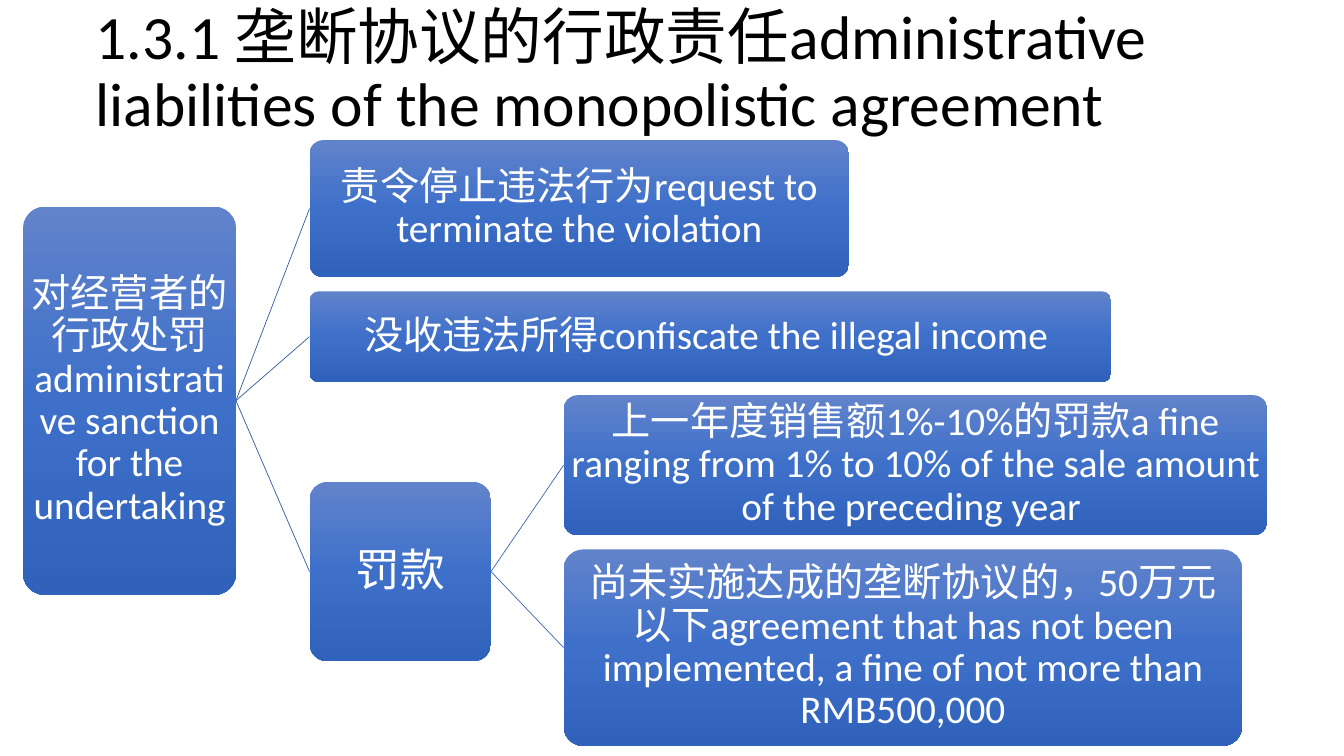
import copy

import pptx
import pptx.dml.color
import pptx.enum.shapes
import pptx.enum.text
import pptx.oxml
import pptx.oxml.ns
import pptx.util

Inches = pptx.util.Inches
Pt = pptx.util.Pt
ALIGN = pptx.enum.text.PP_ALIGN

COLORS = {
    "title": "000000",
    "node_text": "FFFFFF",
    "top": "6183CB",
    "middle": "3E70CA",
    "bottom": "3062BB",
    "first_link": "365B9D",
    "second_link": "3E67B2",
}


def rgb(name):
    return pptx.dml.color.RGBColor.from_string(COLORS[name])


class TreeSlide:
    font = "Calibri"
    gradient = [(0, "top"), (0.5, "middle"), (1, "bottom")]

    def __init__(self, slide):
        self.slide = slide

    def label(self, shape, text, size, color, align, inset_x, inset_y):
        frame = shape.text_frame
        frame_format = {
            "word_wrap": True,
            "vertical_anchor": pptx.enum.text.MSO_ANCHOR.MIDDLE,
            "margin_left": Inches(inset_x),
            "margin_right": Inches(inset_x),
            "margin_top": Inches(inset_y),
            "margin_bottom": Inches(inset_y),
        }
        paragraph = frame.paragraphs[0]
        run = paragraph.add_run()
        run.text = text
        formats = [
            (frame, frame_format),
            (paragraph, {"alignment": align, "line_spacing": 0.9}),
            (run.font, {"name": self.font, "size": Pt(size)}),
        ]
        for target, values in formats:
            for attribute, value in values.items():
                setattr(target, attribute, value)
        run.font.color.rgb = rgb(color)

    def title(self, text, *box):
        heading = self.slide.shapes.add_textbox(*map(Inches, box))
        self.label(heading, text, 44, "title", ALIGN.LEFT, 0.1, 0.05)

    def node(self, text, box, size=28):
        node = self.slide.shapes.add_shape(
            pptx.enum.shapes.MSO_SHAPE.ROUNDED_RECTANGLE, *map(Inches, box))
        node.adjustments[0] = 0.1
        node.shadow.inherit = False
        node.line.fill.background()
        node.fill.gradient()
        node.fill.gradient_angle = 270
        # The default gradient has two stops; add the third
        stops = node._element.spPr.find(".//" + pptx.oxml.ns.qn("a:gsLst"))
        stops.append(copy.deepcopy(stops[-1]))
        for stop, (position, color) in zip(node.fill.gradient_stops, self.gradient):
            stop.position = position
            stop.color.rgb = rgb(color)
        self.label(node, text, size, "node_text", ALIGN.CENTER, 0.02, 0.02)
        return node

    def link(self, parent, child, color):
        link = self.slide.shapes.add_connector(
            pptx.enum.shapes.MSO_CONNECTOR.STRAIGHT,
            parent.left + parent.width, parent.top + parent.height // 2,
            child.left, child.top + child.height // 2)
        link.line.color.rgb = rgb(color)
        link.line.width = Pt(0.5)
        link._element.spPr.append(pptx.oxml.parse_xml(
            f'<a:effectLst {pptx.oxml.ns.nsdecls("a")}/>'))

    def branch(self, parent, children, color):
        for child in children:
            self.link(parent, child, color)


def main():
    deck = pptx.Presentation()
    deck.slide_width, deck.slide_height = Inches(13.33), Inches(7.5)
    tree = TreeSlide(deck.slides.add_slide(deck.slide_layouts[6]))

    # Heading
    tree.title("1.3.1 垄断协议的行政责任administrative liabilities of the "
               "monopolistic agreement", 0.85, 0, 11.5, 1.45)

    # Sanction and its three kinds
    sanction = tree.node("对经营者的行政处罚administrative sanction for the undertaking",
                         (0.23, 2.05, 2.11, 3.85))
    kind_left = 3.07
    terminate = tree.node("责令停止违法行为request to terminate the violation",
                          (kind_left, 1.39, 5.35, 1.36))
    confiscate = tree.node("没收违法所得confiscate the illegal income ",
                           (kind_left, 2.89, 7.95, 0.9))
    fine = tree.node("罚款", (kind_left, 4.78, 1.8, 1.78), size=32)
    tree.branch(sanction, [terminate, confiscate, fine], "first_link")

    # Amounts of the fine
    amount_left = 5.59
    sales_share = tree.node("上一年度销售额1%-10%的罚款a fine ranging from 1% to 10% "
                            "of the sale amount of the preceding year ",
                            (amount_left, 3.92, 6.98, 1.39))
    capped = tree.node("尚未实施达成的垄断协议的，50万元以下agreement that has not been "
                       "implemented, a fine of not more than RMB500,000",
                       (amount_left, 5.45, 6.73, 1.95))
    tree.branch(fine, [sales_share, capped], "second_link")

    deck.save("out.pptx")


if __name__ == "__main__":
    main()
